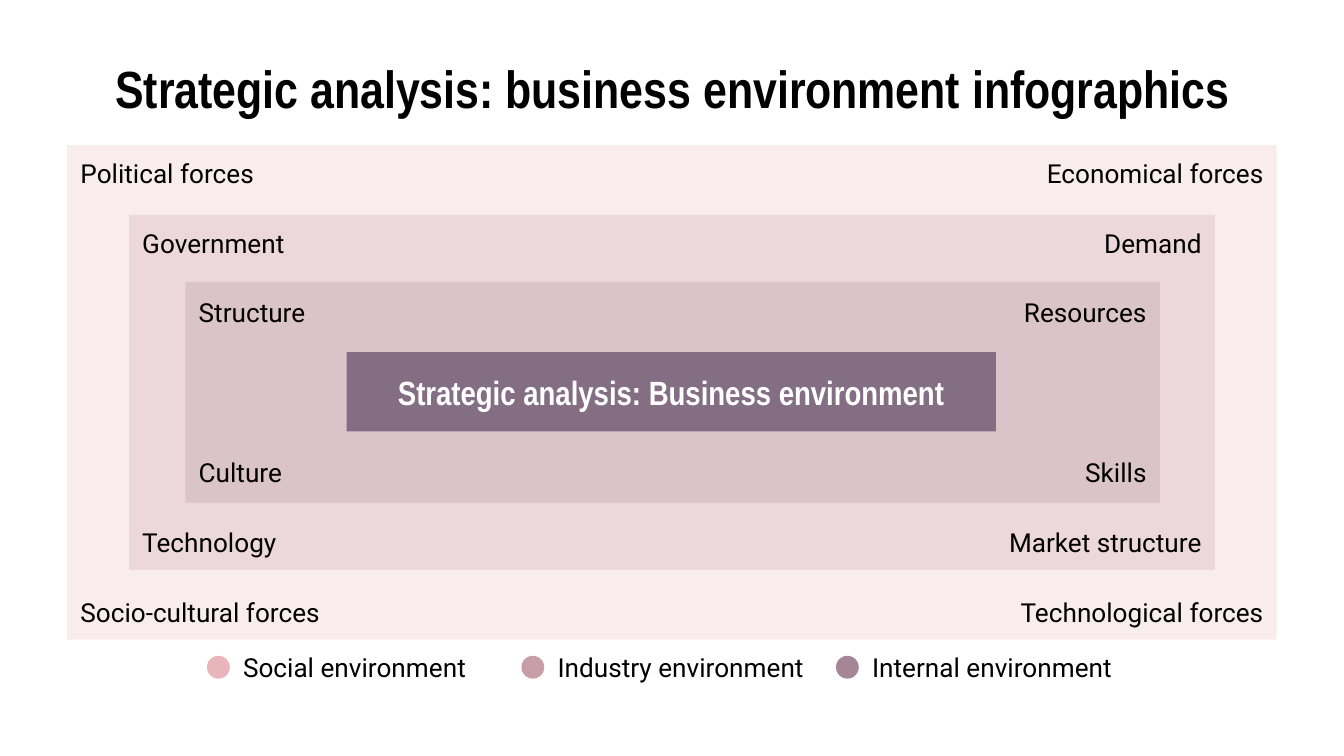
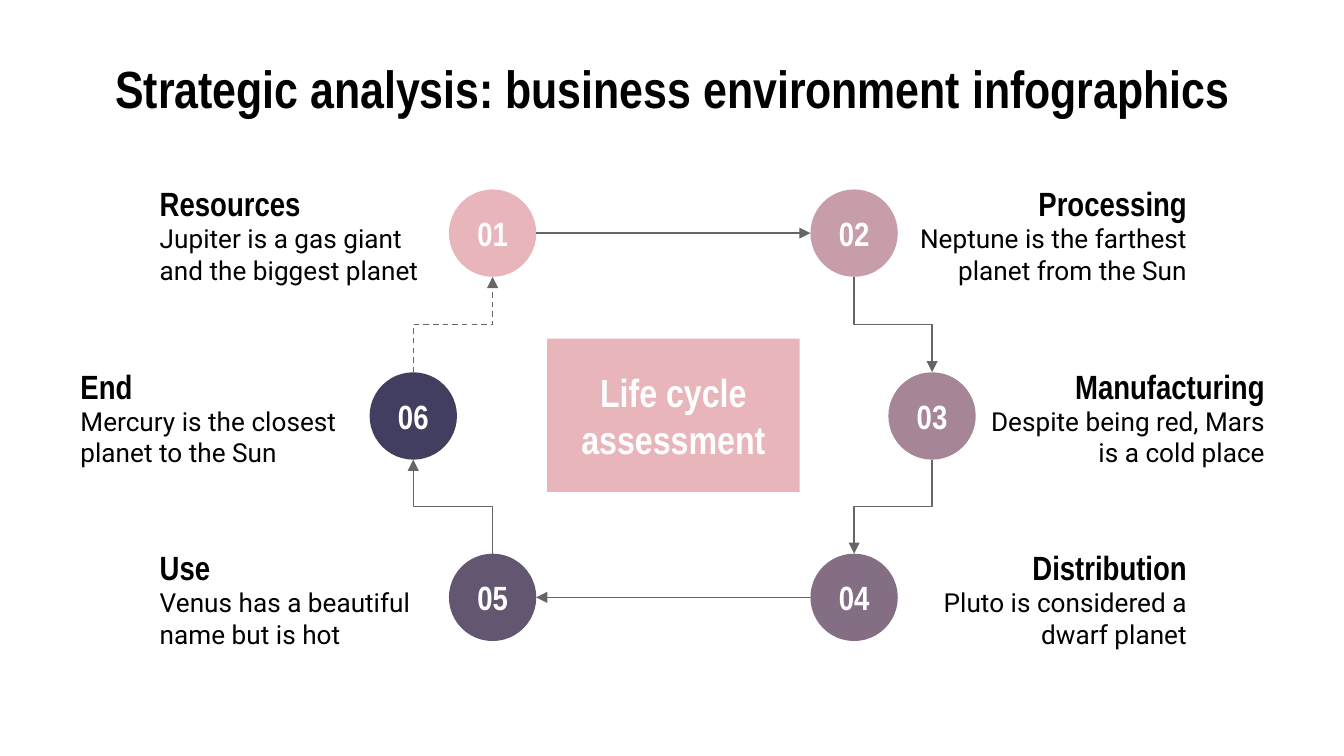
from dataclasses import dataclass

from lxml.etree import SubElement
from pptx import Presentation
from pptx.dml.color import RGBColor
from pptx.enum.dml import MSO_LINE
from pptx.enum.shapes import MSO_CONNECTOR as Route, MSO_SHAPE as Preset
from pptx.enum.text import MSO_ANCHOR as Anchor, MSO_AUTO_SIZE as AutoSize, PP_ALIGN as Align
from pptx.oxml.ns import qn
from pptx.util import Emu, Pt

PX = 9144  # 100 px to the inch
HEADING_FONT, BODY_FONT = "Arial Narrow", "Roboto"
BLACK, WHITE, GREY = "000000", "FFFFFF", "666666"
SHADES = ("E8B5BB", "C79DA9", "A68596", "846E84", "635671", "423E5F")
TITLE = "Strategic analysis: business environment infographics"
TITLE_ONLY = 5
PAGE_WIDTH, MARGIN, CONTENT_WIDTH = 1000, 50, 900
LABEL_WIDTH, LABEL_HEIGHT = 208, 41
DOT, LEGEND_LEFT, LEGEND_STEP, LEGEND_TOP = 17, 154, 234, 476
CIRCLE, CAPTION_WIDTH = 65, 225

Point = tuple[float, float]


@dataclass(frozen=True)
class Ring:
    """A translucent frame with a label in each corner and a legend entry."""
    legend: str
    left: int
    top: int
    width: int
    height: int
    label_inset: int
    left_labels: tuple[str, str]
    right_labels: tuple[str, str]


@dataclass(frozen=True)
class Stage:
    """A numbered circle of the life cycle with its caption."""
    heading: str
    body: str
    left: int
    top: int
    on_right: bool

    @property
    def middle(self) -> Point:
        return self.left + CIRCLE / 2, self.top + CIRCLE / 2


RINGS = (
    Ring("Social environment", 50, 108, 900, 368, 0,
         ("Political forces", "Socio-cultural forces"),
         ("Economical forces", "Technological forces")),
    Ring("Industry environment", 96, 160, 808, 264, 0,
         ("Government", "Technology"), ("Demand", "Market structure")),
    Ring("Internal environment", 138, 210, 725, 164, 2,
         ("Structure", "Culture"), ("Resources", "Skills")),
)

STAGES = (
    Stage("Resources", "Jupiter is a gas giant and the biggest planet", 334, 141, False),
    Stage("Processing", "Neptune is the farthest planet from the Sun", 603, 141, True),
    Stage("Manufacturing", "Despite being red, Mars is a cold place", 661, 277, True),
    Stage("Distribution", "Pluto is considered a dwarf planet", 603, 412, True),
    Stage("Use", "Venus has a beautiful name but is hot", 334, 412, False),
    Stage("End", "Mercury is the closest planet to the Sun", 275, 277, False),
)


def px(*lengths: float) -> list[Emu]:
    return [Emu(int(length * PX)) for length in lengths]


def rgb(color: str) -> RGBColor:
    return RGBColor.from_string(color)


def write(box, text: str, *, size: int = 14, font: str = BODY_FONT, bold: bool = False,
          color: str = BLACK, align=Align.LEFT) -> None:
    frame = box.text_frame
    frame.auto_size = AutoSize.NONE
    frame.word_wrap = True
    frame.vertical_anchor = Anchor.MIDDLE
    inset, = px(10)
    frame.margin_left = frame.margin_right = frame.margin_top = frame.margin_bottom = inset
    para = frame.paragraphs[0]
    para.alignment = align
    span = para.add_run()
    span.text = text
    span.font.name, span.font.size, span.font.bold = font, Pt(size), bold
    span.font.color.rgb = rgb(color)


def write_heading(box, text: str, size: int = 18, color: str = WHITE, align=Align.CENTER) -> None:
    write(box, text, size=size, font=HEADING_FONT, bold=True, color=color, align=align)


def add_box(page, left: int, top: int, width: int, height: int):
    return page.shapes.add_textbox(*px(left, top, width, height))


def add_filled(page, preset, left: int, top: int, width: int, height: int,
               color: str, opacity: int = 100):
    shape = page.shapes.add_shape(preset, *px(left, top, width, height))
    shape.shadow.inherit = False
    shape.fill.solid()
    shape.fill.fore_color.rgb = rgb(color)
    shape.line.fill.background()
    if opacity < 100:
        fill_color = shape._element.spPr.find(qn("a:solidFill"))[0]
        SubElement(fill_color, qn("a:alpha")).set("val", str(opacity * 1000))
    return shape


def add_page(deck):
    page = deck.slides.add_slide(deck.slide_layouts[TITLE_ONLY])
    title = page.shapes.title
    title.left, title.top, title.width, title.height = px(MARGIN, 45, CONTENT_WIDTH, 41)
    write_heading(title, TITLE, size=28, color=BLACK)
    return page


def add_arrow(page, route, begin: Point, end: Point, dashed: bool):
    arrow = page.shapes.add_connector(route, *px(*begin, *end))
    arrow.line.color.rgb = rgb(GREY)
    arrow.line.width = Pt(0.75)
    if dashed:
        arrow.line.dash_style = MSO_LINE.DASH
    SubElement(arrow.line._get_or_add_ln(), qn("a:tailEnd")).set("type", "triangle")
    SubElement(arrow._element.spPr, qn("a:effectLst"))
    return arrow


def add_vertical_elbow(page, begin: Point, end: Point, dashed: bool) -> None:
    """Draw an elbow that leaves and arrives vertically, as a turned horizontal one."""
    (x1, y1), (x2, y2) = begin, end
    middle_x, middle_y = (x1 + x2) / 2, (y1 + y2) / 2
    half_width, half_height = abs(y2 - y1) / 2, abs(x2 - x1) / 2
    to_right, downward = x2 > x1, y2 > y1
    if to_right == downward:
        half_width = -half_width  # mirrored
    arrow = add_arrow(page, Route.ELBOW, (middle_x - half_width, middle_y - half_height),
                      (middle_x + half_width, middle_y + half_height), dashed)
    degrees = 270 if to_right else 90
    arrow._element.spPr.find(qn("a:xfrm")).set("rot", str(degrees * 60000))


def link_stages(page, source: Stage, target: Stage, dashed: bool) -> None:
    (x1, y1), (x2, y2) = source.middle, target.middle
    if y1 == y2:
        if x2 > x1:
            x1, x2 = source.left + CIRCLE, target.left
        else:
            x1, x2 = source.left, target.left + CIRCLE
        add_arrow(page, Route.STRAIGHT, (x1, y1), (x2, y2), dashed)
        return
    if y2 > y1:
        y1, y2 = source.top + CIRCLE, target.top
    else:
        y1, y2 = source.top, target.top + CIRCLE
    add_vertical_elbow(page, (x1, y1), (x2, y2), dashed)


def add_ring_labels(page, ring: Ring) -> None:
    tops = (ring.top + ring.label_inset,
            ring.top + ring.height - LABEL_HEIGHT - ring.label_inset)
    sides = ((ring.left, ring.left_labels, Align.LEFT),
             (ring.left + ring.width - LABEL_WIDTH, ring.right_labels, Align.RIGHT))
    for left, labels, align in sides:
        for top, label in zip(tops, labels):
            write(add_box(page, left, top, LABEL_WIDTH, LABEL_HEIGHT), label, align=align)


def add_legend_entry(page, left: int, label: str, color: str) -> None:
    add_filled(page, Preset.OVAL, left, LEGEND_TOP + 12, DOT, DOT, color)
    write(add_box(page, left + DOT, LEGEND_TOP, LABEL_WIDTH, LABEL_HEIGHT), label)


def add_stage(page, stage: Stage, number: int, color: str) -> None:
    if stage.on_right:
        left, align = stage.left + CIRCLE, Align.RIGHT
    else:
        left, align = stage.left - CAPTION_WIDTH, Align.LEFT
    heading = add_box(page, left, stage.top - 5, CAPTION_WIDTH, 30)
    write_heading(heading, stage.heading, color=BLACK, align=align)
    write(add_box(page, left, stage.top + 26, CAPTION_WIDTH, 44), stage.body, align=align)
    circle = add_filled(page, Preset.OVAL, stage.left, stage.top, CIRCLE, CIRCLE, color)
    write_heading(circle, f"{number:02}")


def build_environment(deck) -> None:
    page = add_page(deck)
    for ring, color in zip(RINGS, SHADES):
        add_filled(page, Preset.RECTANGLE, ring.left, ring.top, ring.width, ring.height,
                   color, opacity=25)
    for index, ring in enumerate(RINGS):
        add_ring_labels(page, ring)
        add_legend_entry(page, LEGEND_LEFT + index * LEGEND_STEP, ring.legend, SHADES[index])
    core = add_filled(page, Preset.RECTANGLE, 258, 262, 483, 59, SHADES[3])
    write_heading(core, "Strategic analysis: Business environment")


def build_life_cycle(deck) -> None:
    page = add_page(deck)
    for number, (stage, color) in enumerate(zip(STAGES, SHADES), start=1):
        add_stage(page, stage, number, color)
    core = add_filled(page, Preset.RECTANGLE, 407, 252, 188, 114, SHADES[0])
    write_heading(core, "Life cycle assessment", size=21)
    for source, target in zip(STAGES, STAGES[1:] + STAGES[:1]):
        link_stages(page, source, target, dashed=target is STAGES[0])


def main() -> None:
    deck = Presentation()
    deck.slide_width, deck.slide_height = px(PAGE_WIDTH, PAGE_WIDTH * 9 / 16)
    build_environment(deck)
    build_life_cycle(deck)
    deck.save("out.pptx")


if __name__ == "__main__":
    main()
